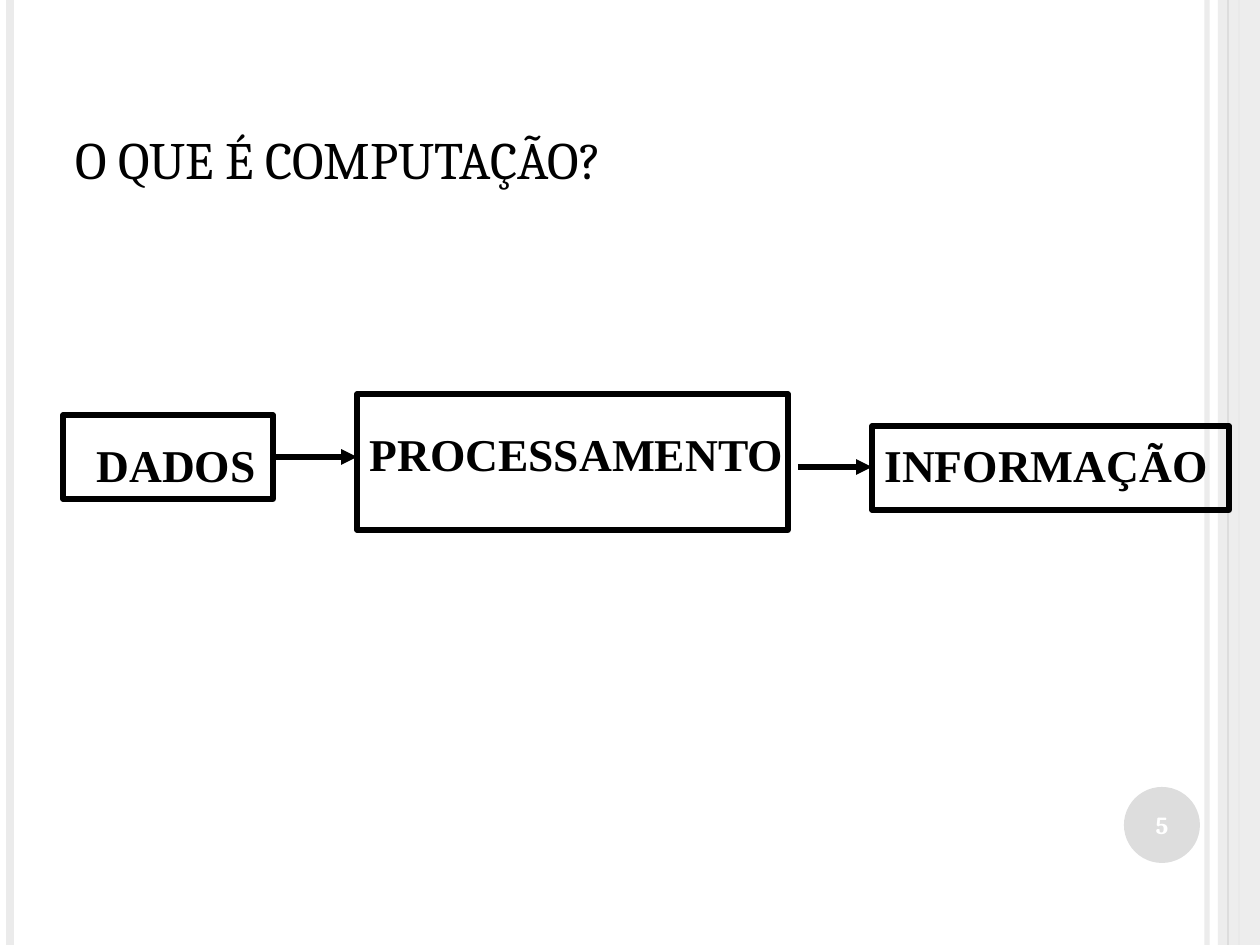
from lxml import etree
from pptx import Presentation
from pptx.dml.color import RGBColor
from pptx.enum.shapes import MSO_CONNECTOR, MSO_SHAPE
from pptx.enum.text import MSO_ANCHOR, PP_ALIGN
from pptx.oxml.ns import qn
from pptx.util import Pt

EMU_PER_PX = 914400 / 126
WIDTH, HEIGHT = 1260, 945
STRAIGHT = MSO_CONNECTOR.STRAIGHT
RECTANGLE, OVAL = MSO_SHAPE.RECTANGLE, MSO_SHAPE.OVAL
TOP, MIDDLE, BOTTOM = MSO_ANCHOR.TOP, MSO_ANCHOR.MIDDLE, MSO_ANCHOR.BOTTOM
LEFT, CENTER = PP_ALIGN.LEFT, PP_ALIGN.CENTER
BLACK, WHITE, PALE, GREY = "000000", "FFFFFF", "EBEBEB", "DDDDDD"


def px(value):
    return round(value * EMU_PER_PX)


def color(hex_value):
    return RGBColor.from_string(hex_value)


def set_opacity(shape, percent):
    """Make the one solid colour of a shape or line partly transparent."""
    for element in shape._element.spPr.iter(qn("a:srgbClr")):
        etree.SubElement(element, qn("a:alpha"), val=str(percent * 1000))


def add_line(slide, start, end, line_color, width, arrow=False):
    line = slide.shapes.add_connector(STRAIGHT, *map(px, start + end))
    line.line.color.rgb = color(line_color)
    line.line.width = Pt(width)
    if arrow:
        etree.SubElement(line.line._get_or_add_ln(), qn("a:tailEnd"), type="triangle")
    etree.SubElement(line._element.spPr, qn("a:effectLst"))
    return line


def add_shape(slide, kind, box, fill=None, outline=None):
    shape = slide.shapes.add_shape(kind, *map(px, box))
    shape.shadow.inherit = False
    if fill:
        shape.fill.solid()
        shape.fill.fore_color.rgb = color(fill)
    else:
        shape.fill.background()
    if outline:
        shape.line.color.rgb = color(outline)
        shape.line.width = Pt(3)
    else:
        shape.line.fill.background()
    return shape


def write(shape, text, size, font_name, font_color=BLACK, bold=False,
          align=LEFT, anchor=TOP):
    frame = shape.text_frame
    frame.text = text
    frame.word_wrap = True
    frame.vertical_anchor = anchor
    paragraph = frame.paragraphs[0]
    paragraph.alignment = align
    font = paragraph.runs[0].font
    font.size, font.name, font.bold = Pt(size), font_name, bold
    font.color.rgb = color(font_color)


def add_text(slide, box, text, size, font_name, **style):
    write(slide.shapes.add_textbox(*map(px, box)), text, size, font_name, **style)


def add_side_bands(slide):
    def add_rule(x, line_color, width):
        return add_line(slide, (x, 0), (x, HEIGHT), line_color, width)

    set_opacity(add_rule(1207, PALE, 3), 93)
    add_rule(10, PALE, 4.5)
    add_rule(1239, GREY, 1.5)
    band = add_shape(slide, RECTANGLE, (1218, 0, WIDTH - 1218, HEIGHT), PALE)
    set_opacity(band, 87)
    add_rule(1228, GREY, 0.75)


def add_page_number(slide, box, number):
    badge = add_shape(slide, OVAL, box, GREY)
    frame = badge.text_frame
    frame.margin_left = frame.margin_right = 0
    write(badge, number, 14, "Cambria", WHITE, True, CENTER, MIDDLE)


def add_flow(slide, left, top):
    """Three labelled stages joined by two arrows."""
    # Each stage: label, box, then left, top and width of its label.
    stages = [
        ("DADOS", (0, 21, 210, 84), (21, 37, 189)),
        ("PROCESSAMENTO", (294, 0, 431, 136), (294, 26, 441)),
        ("INFORMAÇÃO", (809, 32, 357, 84), (809, 37, 357)),
    ]
    arrows = [(210, 294, 63), (735, 809, 73)]
    for _, (x, y, width, height), _ in stages:
        add_shape(slide, RECTANGLE, (left + x, top + y, width, height), outline=BLACK)
    for start, end, y in arrows:
        add_line(slide, (left + start, top + y), (left + end, top + y), BLACK, 3, True)
    for label, _, (x, y, width) in stages:
        add_text(slide, (left + x, top + y, width, 68), label, 26,
                 "Times New Roman", bold=True)


def main():
    presentation = Presentation()
    presentation.slide_width, presentation.slide_height = px(WIDTH), px(HEIGHT)
    slide = presentation.slides.add_slide(presentation.slide_layouts[6])
    add_side_bands(slide)
    add_page_number(slide, (1124, 787, 76, 76), "5")
    add_flow(slide, 63, 394)
    add_text(slide, (63, 38, 1029, 158), "O QUE É COMPUTAÇÃO?", 30, "Cambria",
             anchor=BOTTOM)
    presentation.save("out.pptx")


if __name__ == "__main__":
    main()
